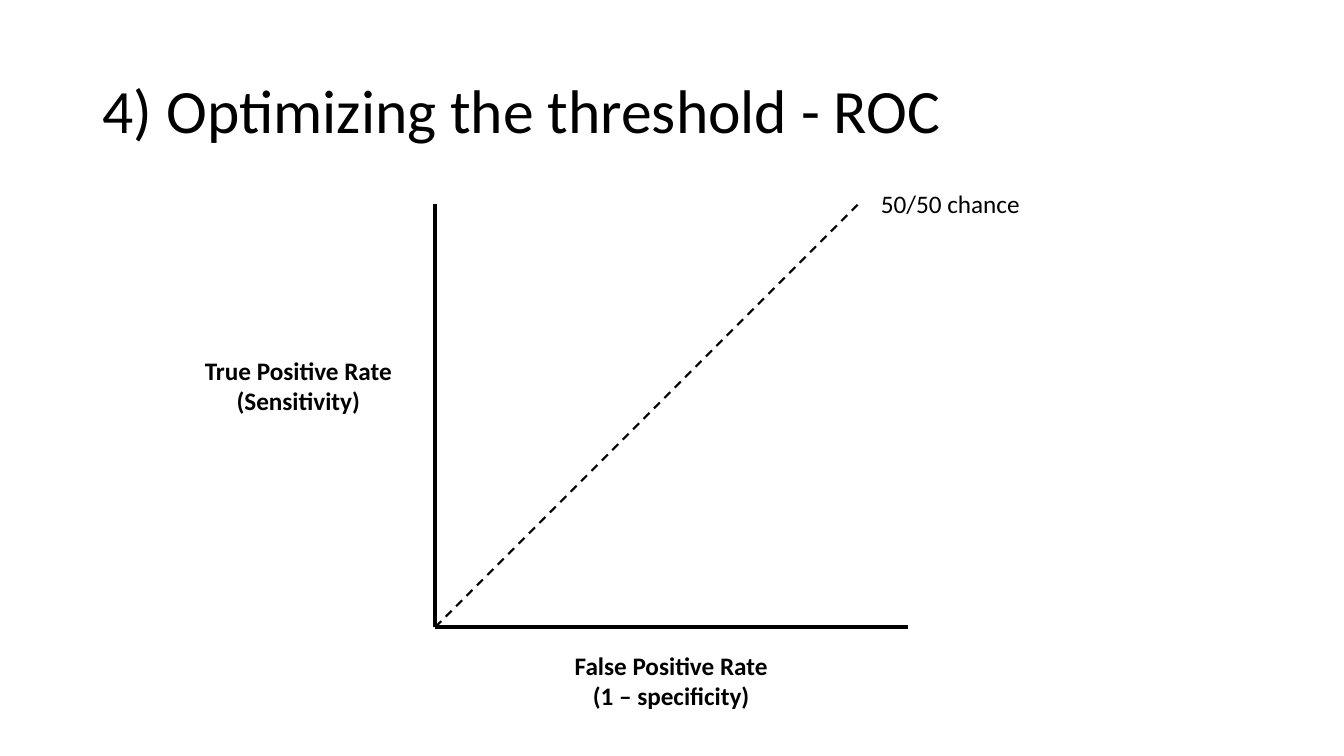
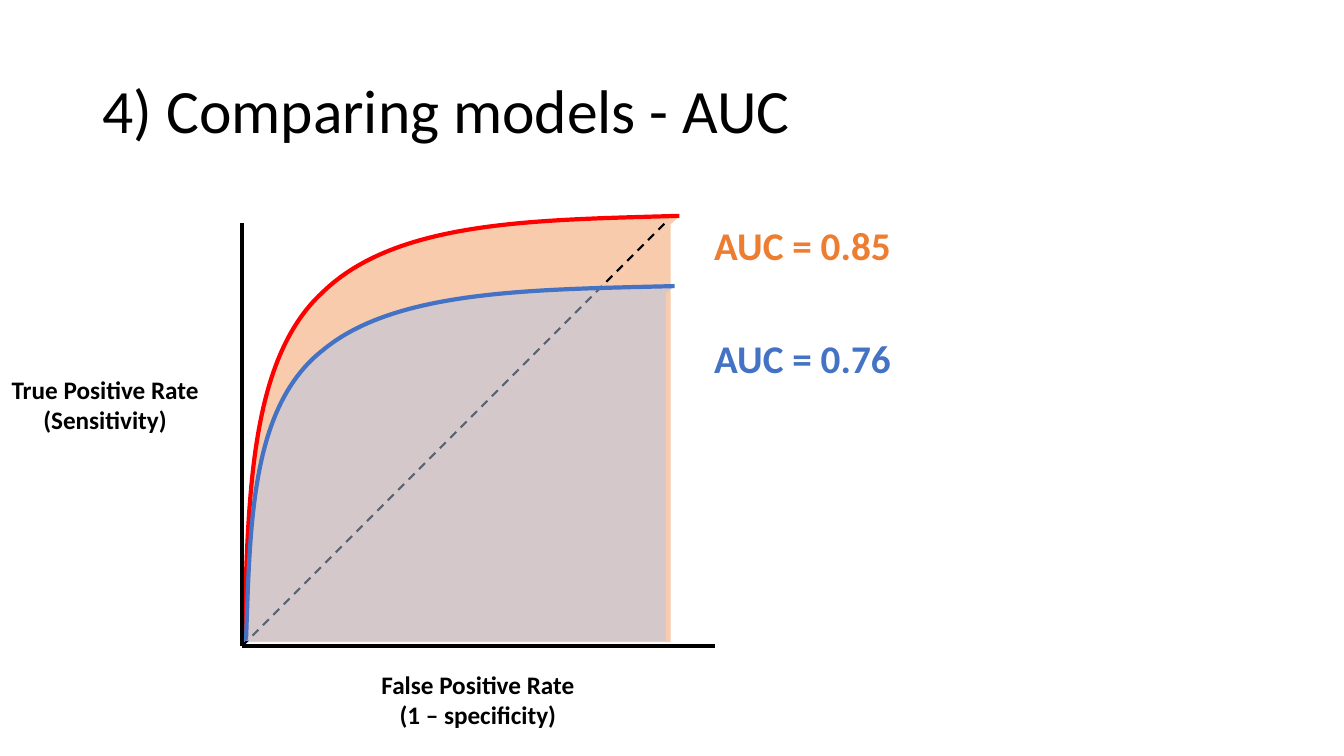
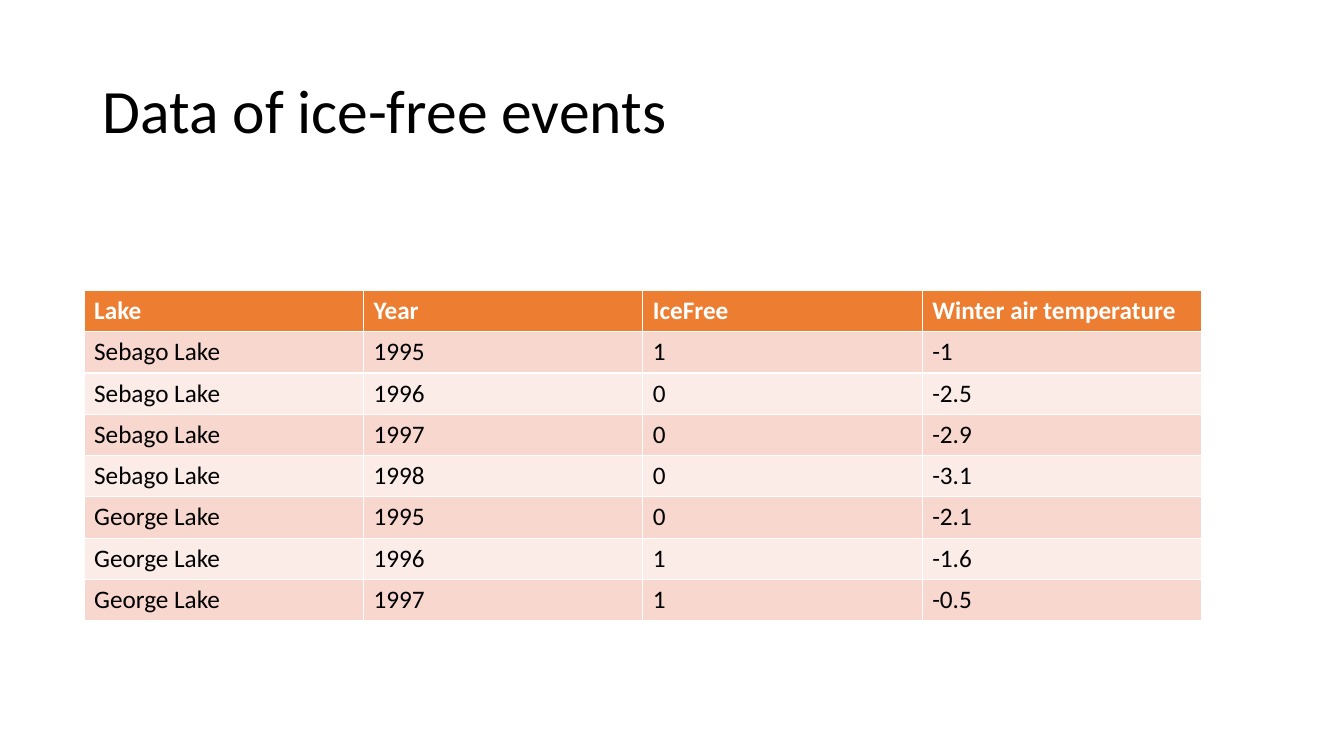
"""Build three slides on ROC curves, model AUC and ice-free lake data."""
from dataclasses import dataclass

from pptx import Presentation
from pptx.dml.color import RGBColor as Rgb
from pptx.enum.dml import MSO_LINE as Dash
from pptx.enum.shapes import MSO_CONNECTOR as Link, MSO_SHAPE as Form
from pptx.enum.text import MSO_ANCHOR as Anchor, MSO_AUTO_SIZE as Fit, PP_ALIGN as Align
from pptx.oxml.ns import qn
from pptx.oxml.xmlchemy import OxmlElement as Node
from pptx.slide import Slide
from pptx.util import Cm, Pt

FONT = "Calibri"
HUES = {
    "black": "000000", "white": "FFFFFF", "red": "FF0000", "blue": "4472C4",
    "orange": "ED7D31", "peach": "F8CBAD", "sky": "B4C7E7",
    "odd": "F8D7CE", "even": "FCECE8",
}
BEND = [(0, 0), (0.01, 0.33), (0.01, 0.66), (0.18, 0.82), (0.35, 0.99), (0.67, 0.99), (1, 1)]
SPAN = 10.65
INSET = 0.98
DATA = [
    ("Lake", "Year", "IceFree", "Winter air temperature"),
    ("Sebago Lake", "1995", "1", "-1"),
    ("Sebago Lake", "1996", "0", "-2.5"),
    ("Sebago Lake", "1997", "0", "-2.9"),
    ("Sebago Lake", "1998", "0", "-3.1"),
    ("George Lake", "1995", "0", "-2.1"),
    ("George Lake", "1996", "1", "-1.6"),
    ("George Lake", "1997", "1", "-0.5"),
]


@dataclass
class Label:
    text: str
    left: float
    top: float
    width: float
    height: float
    size: int = 18
    hue: str = "black"
    bold: bool = True
    align: Align = Align.LEFT


@dataclass
class Area:
    left: float
    foot: float
    width: float
    height: float
    line: str
    fill: str
    alpha: int = 100


def tint(name: str) -> Rgb:
    return Rgb.from_string(HUES[name])


def style(para, size: int, hue: str, bold: bool = False) -> None:
    font = para.font
    font.name, font.size, font.bold = FONT, Pt(size), bold
    font.color.rgb = tint(hue)


def start(deck, text: str) -> Slide:
    slide = deck.slides.add_slide(deck.slide_layouts[5])
    title = slide.shapes.title
    title.left, title.top, title.width, title.height = Cm(2.33), Cm(1.01), Cm(29.21), Cm(3.68)
    title.text = text
    title.text_frame.vertical_anchor = Anchor.MIDDLE
    para = title.text_frame.paragraphs[0]
    para.alignment, para.line_spacing = Align.LEFT, 0.9
    style(para, 44, "black")
    return slide


def write(slide: Slide, label: Label) -> None:
    box = slide.shapes.add_textbox(
        Cm(label.left), Cm(label.top), Cm(label.width), Cm(label.height))
    frame = box.text_frame
    frame.word_wrap, frame.auto_size = False, Fit.SHAPE_TO_FIT_TEXT
    frame.text = label.text
    for para in frame.paragraphs:
        para.alignment = label.align
        style(para, label.size, label.hue, label.bold)


def rule(slide: Slide, x: float, y: float, right: float, up: float,
         width: float = 3, dash: bool = False) -> None:
    line = slide.shapes.add_connector(
        Link.STRAIGHT, Cm(x), Cm(y), Cm(x + right), Cm(y - up))
    line.line.color.rgb, line.line.width = tint("black"), Pt(width)
    if dash:
        line.line.dash_style = Dash.DASH
    line.element.spPr.append(Node("a:effectLst"))


def axes(slide: Slide, x: float, y: float) -> None:
    rule(slide, x, y, 0, SPAN)
    rule(slide, x, y, 11.91, 0)
    rule(slide, x, y, SPAN, SPAN, 1.5, True)
    write(slide, Label("False Positive Rate\n(1 – specificity)",
                       x + 3.24, y + 0.46, 5.41, 1.8, align=Align.CENTER))
    write(slide, Label("True Positive Rate\n(Sensitivity)",
                       x - 6.08, y - 6.97, 5.26, 1.8, align=Align.CENTER))


def paint(shape, area: Area) -> None:
    shape.shadow.inherit = False
    shape.fill.solid()
    shape.fill.fore_color.rgb = tint(area.fill)
    if area.alpha < 100:
        alpha = Node("a:alpha")
        alpha.set("val", str(area.alpha * 1000))
        shape.element.spPr.find(qn("a:solidFill"))[0].append(alpha)


def smooth(shape) -> None:
    steps = list(shape.element.iter(qn("a:lnTo")))
    for i in range(0, len(steps), 3):
        curve = Node("a:cubicBezTo")
        steps[i].addprevious(curve)
        for step in steps[i:i + 3]:
            curve.append(step[0])
            step.getparent().remove(step)


def shade(slide: Slide, area: Area) -> None:
    shapes = slide.shapes.add_group_shape().shapes
    dots = [(Cm(area.left + x * area.width), Cm(area.foot - y * area.height)) for x, y in BEND]
    pen = shapes.build_freeform(*dots[0])
    pen.add_line_segments(dots[1:], close=False)
    curve = pen.convert_to_shape()
    smooth(curve)
    paint(curve, area)
    curve.line.color.rgb, curve.line.width = tint(area.line), Pt(3)
    wide, high = area.width * INSET, area.height * INSET
    half = shapes.add_shape(Form.RIGHT_TRIANGLE, Cm(area.left), Cm(area.foot - high),
                            Cm(wide), Cm(high))
    half.element.spPr.xfrm.set("flipH", "1")
    paint(half, area)
    half.line.fill.background()


def grid(slide: Slide) -> None:
    rows, cols = len(DATA), len(DATA[0])
    table = slide.shapes.add_table(
        rows, cols, Cm(2.12), Cm(7.32), Cm(7.04 * cols), Cm(1.04 * rows)).table
    for i, row in enumerate(DATA):
        fill = "orange" if i == 0 else "odd" if i % 2 else "even"
        for j, text in enumerate(row):
            cell = table.cell(i, j)
            cell.text = text
            cell.fill.solid()
            cell.fill.fore_color.rgb = tint(fill)
            style(cell.text_frame.paragraphs[0], 18, "black" if i else "white", i == 0)


def main() -> None:
    deck = Presentation()
    deck.slide_width, deck.slide_height = Cm(33.87), Cm(19.05)

    slide = start(deck, "4) Optimizing the threshold - ROC")
    axes(slide, 10.97, 15.8)
    write(slide, Label("50/50 chance", 21.95, 4.62, 4.14, 1.02, bold=False))

    slide = start(deck, "4) Comparing models - AUC")
    shade(slide, Area(6.15, 16.18, 10.97, 10.74, "red", "peach"))
    axes(slide, 6.1, 16.28)
    shade(slide, Area(6.2, 16.15, 10.8, 8.94, "blue", "sky", 50))
    for text, top, hue in (("AUC = 0.85", 5.44, "orange"), ("AUC = 0.76", 8.31, "blue")):
        write(slide, Label(text, 17.75, top, 5.03, 1.45, 28, hue))

    grid(start(deck, "Data of ice-free events"))
    deck.save("out.pptx")


if __name__ == "__main__":
    main()
